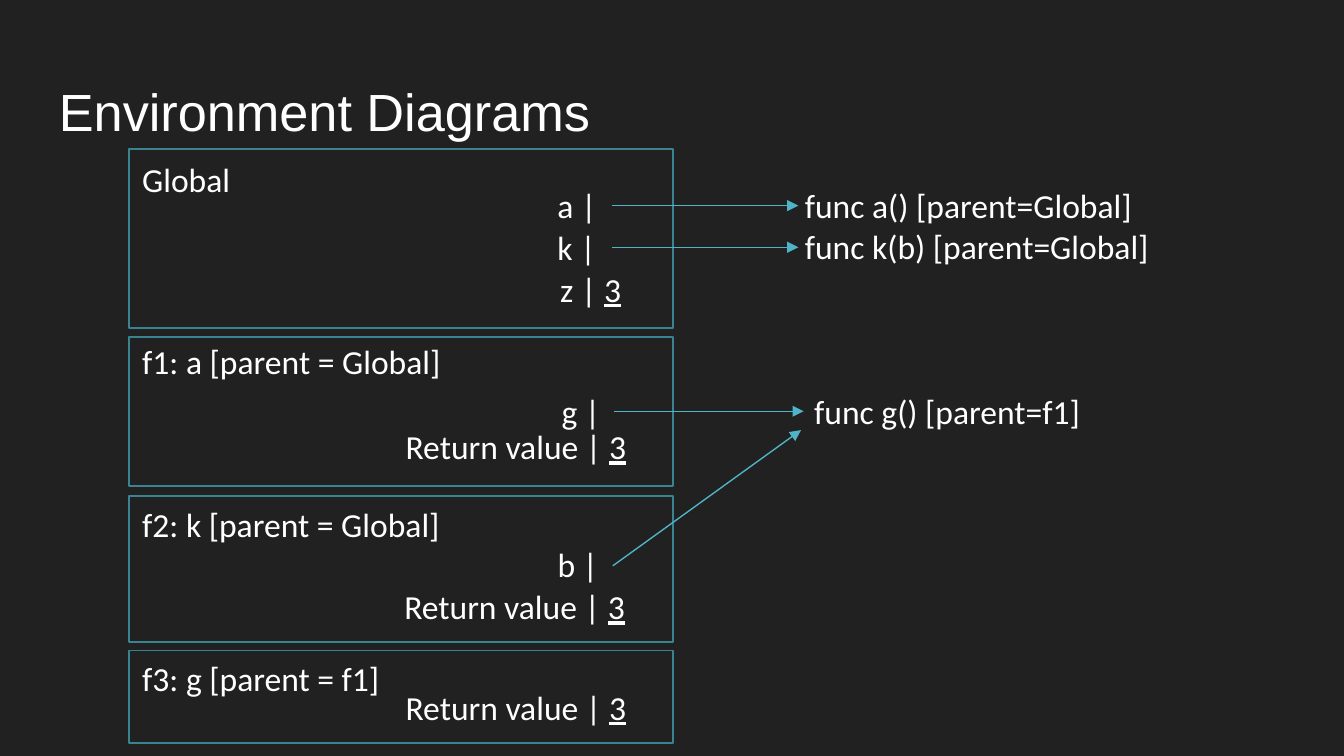
from dataclasses import dataclass

from pptx import Presentation
from pptx.dml.color import RGBColor
from pptx.enum.shapes import MSO_CONNECTOR, MSO_SHAPE
from pptx.enum.text import MSO_ANCHOR
from pptx.oxml import parse_xml
from pptx.oxml.ns import nsdecls
from pptx.util import Inches, Pt


@dataclass(frozen=True)
class Theme:
    background: RGBColor = RGBColor(0x21, 0x21, 0x21)
    text: RGBColor = RGBColor(0xFF, 0xFF, 0xFF)
    frame: RGBColor = RGBColor(0x3A, 0x83, 0x91)
    arrow: RGBColor = RGBColor(0x50, 0xB4, 0xC8)
    title_font: str = "Arial"
    body_font: str = "Calibri"
    title_size: int = 28
    body_size: int = 18


THEME = Theme()
FRAME_LEFT, FRAME_WIDTH = 0.96, 4.05
LINE_HEIGHT = 0.4

# Frame: top, height, label (text, dy, width, height), bindings.
# Binding: name, value, dx, dy, width; offsets are from the frame's corner.
FRAMES = [
    (1.11, 1.33, ("Global", 0.02, 0.86, LINE_HEIGHT),
     [("a |", "", 3.09, 0.22, 0.5),
      ("k |", "", 3.09, 0.53, 0.5),
      ("z | ", "3", 3.11, 0.84, 0.66)]),
    (2.51, 1.11, ("f1: a [parent = Global]", -0.02, 2.45, 0.71),
     [("g |", "", 3.12, 0.35, 0.5),
      ("Return value | ", "3", 1.96, 0.61, 1.86)]),
    (3.69, 1.09, ("f2: k [parent = Global]", 0.01, 2.48, LINE_HEIGHT),
     [("b |", "", 3.09, 0.31, 0.51),
      ("Return value | ", "3", 1.95, 0.62, 1.86)]),
    (4.84, 0.69, ("f3: g [parent = f1]", 0.01, 1.99, LINE_HEIGHT),
     [("Return value | ", "3", 1.96, 0.22, 1.86)]),
]

FUNCTIONS = [
    ("func a() [parent=Global]\nfunc k(b) [parent=Global]", 5.89, 1.33, 2.79, 0.71),
    ("func g() [parent=f1]", 5.96, 2.86, 2.21, LINE_HEIGHT),
]

POINTERS = [
    ((4.55, 1.53), (5.94, 1.53)),
    ((4.55, 1.84), (5.94, 1.84)),
    ((4.57, 3.06), (5.98, 3.06)),
    ((4.56, 4.21), (5.96, 3.2)),
]


def style_run(r, font, size):
    r.font.name = font
    r.font.size = Pt(size)
    r.font.color.rgb = THEME.text


def add_text(s, text, left, top, width, height, underlined=""):
    """Add body text, followed by an optional underlined value."""
    sp = s.shapes.add_textbox(Inches(left), Inches(top), Inches(width), Inches(height))
    tf = sp.text_frame
    tf.word_wrap = False
    tf.text = text
    if underlined:
        r = tf.paragraphs[-1].add_run()
        r.text = underlined
        r.font.underline = True
    for p in tf.paragraphs:
        for r in p.runs:
            style_run(r, THEME.body_font, THEME.body_size)


def add_title(s, text, left, top, width, height):
    sp = s.shapes.add_textbox(Inches(left), Inches(top), Inches(width), Inches(height))
    tf = sp.text_frame
    tf.word_wrap = True
    tf.vertical_anchor = MSO_ANCHOR.MIDDLE
    tf.margin_top = tf.margin_bottom = Inches(0.1)
    tf.text = text
    style_run(tf.paragraphs[0].runs[0], THEME.title_font, THEME.title_size)


def add_frame(s, left, top, width, height, label, bindings):
    sp = s.shapes.add_shape(MSO_SHAPE.RECTANGLE, Inches(left), Inches(top),
                            Inches(width), Inches(height))
    sp.shadow.inherit = False
    sp.fill.background()
    sp.line.color.rgb = THEME.frame
    sp.line.width = Pt(1)
    text, dy, label_width, label_height = label
    add_text(s, text, left, top + dy, label_width, label_height)
    for name, value, dx, dy, binding_width in bindings:
        add_text(s, name, left + dx, top + dy, binding_width, LINE_HEIGHT, value)


def add_pointer(s, start, end):
    line = s.shapes.add_connector(MSO_CONNECTOR.STRAIGHT,
                                  *(Inches(v) for v in (*start, *end)))
    line.line.color.rgb = THEME.arrow
    line.line.width = Pt(0.75)
    sp_pr = line._element.spPr
    sp_pr.ln.append(parse_xml(f'<a:tailEnd {nsdecls("a")} type="triangle"/>'))
    sp_pr.append(parse_xml(f'<a:effectLst {nsdecls("a")}/>'))


def build_environment_slide(prs):
    s = prs.slides.add_slide(prs.slide_layouts[6])
    s.background.fill.solid()
    s.background.fill.fore_color.rgb = THEME.background
    add_title(s, "Environment Diagrams", 0.34, 0.51, 9.32, 0.63)
    for top, height, label, bindings in FRAMES:
        add_frame(s, FRAME_LEFT, top, FRAME_WIDTH, height, label, bindings)
    for text, *box in FUNCTIONS:
        add_text(s, text, *box)
    for start, end in POINTERS:
        add_pointer(s, start, end)


def main():
    prs = Presentation()
    prs.slide_width = Inches(10)
    prs.slide_height = Inches(10 * 9 / 16)
    build_environment_slide(prs)
    prs.save("out.pptx")


if __name__ == "__main__":
    main()
